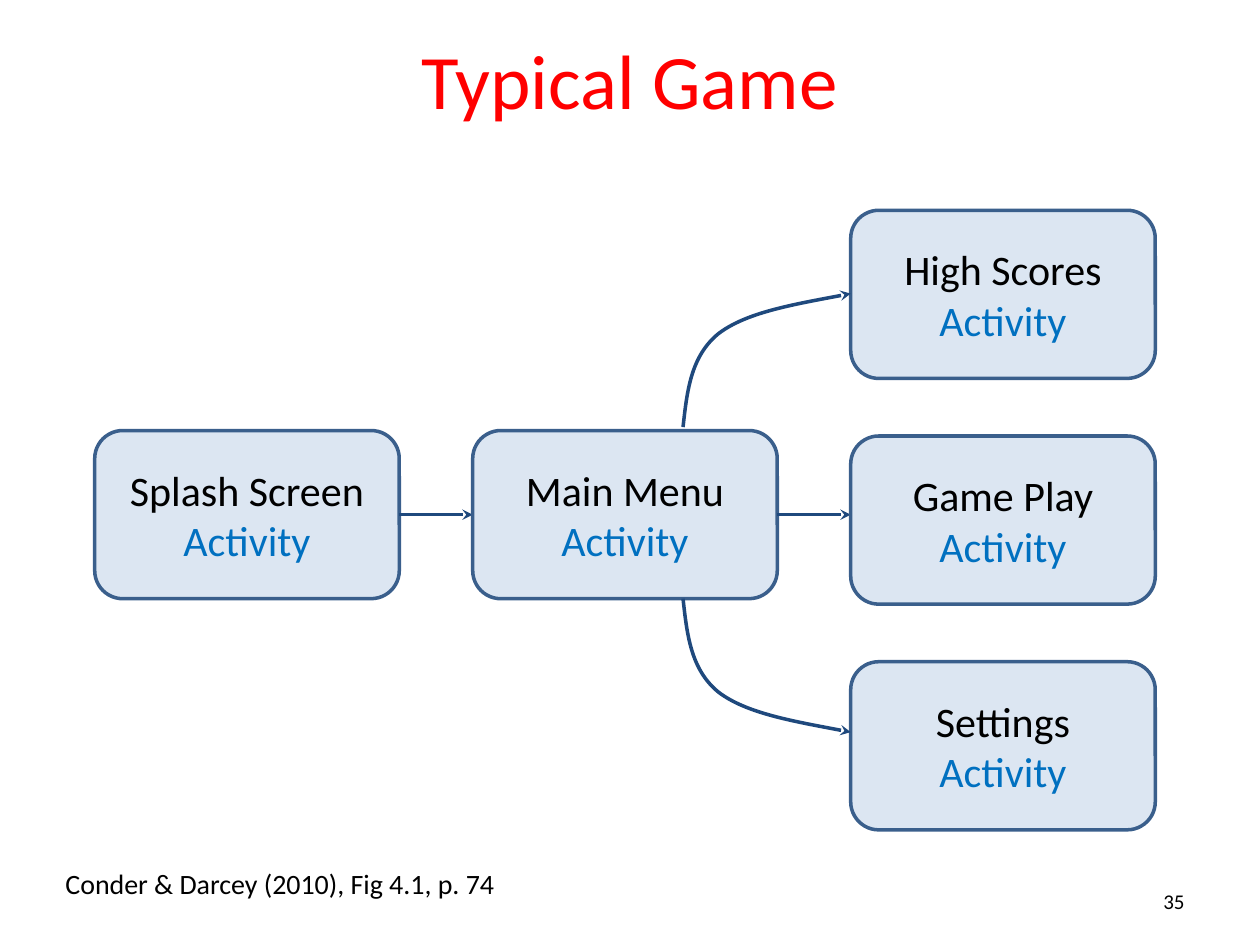
"""Build the slide that shows the screen flow of a typical game."""
from dataclasses import dataclass

import pptx
import pptx.dml.color
import pptx.enum.shapes
import pptx.enum.text
import pptx.oxml.ns
import pptx.util
from lxml import etree

Cm = pptx.util.Cm
ALIGN = pptx.enum.text.PP_ALIGN
ANCHOR = pptx.enum.text.MSO_ANCHOR

COLUMN_LEFT, COLUMN_STEP = 1.91, 7.62
BOX_W, BOX_H = 6.14, 3.39
MAIN_TOP, BRANCH_TOP, BRANCH_STEP = 8.68, 4.24, 4.55
KIND = "Activity"
MAIN_SCREENS = ["Splash Screen", "Main Menu"]
BRANCH_SCREENS = ["High Scores", "Game Play", "Settings"]
LABELS = [
    ("Typical Game", (1.27, 0, 22.86, 3.18), "title", "accent", ALIGN.CENTER, ANCHOR.MIDDLE),
    ("35", (18.21, 17.65, 5.92, 1.02), "number", "text", ALIGN.RIGHT, ANCHOR.MIDDLE),
    ("Conder & Darcey (2010), Fig 4.1, p. 74", (1.07, 17.35, 13.13, 0.94),
     "source", "text", ALIGN.LEFT, ANCHOR.TOP),
]
CURVE_X = 13.77
CURVE_STARTS = [(8.61, -1), (12.07, 1)]
CURVE_STEPS = [(0.08, 0.71), (0.15, 1.42), (0.71, 1.88), (1.27, 2.31), (2.34, 2.49), (3.38, 2.69)]


@dataclass(frozen=True)
class Theme:
    font: str = "Calibri"
    title: int = 44
    box: int = 24
    source: int = 16
    number: int = 12
    stroke: int = 2
    accent: str = "FF0000"
    text: str = "000000"
    kind: str = "0070C0"
    fill: str = "DCE6F2"
    border: str = "3A5F8C"
    arrow: str = "1F497D"


THEME = Theme()


def rgb(name):
    return pptx.dml.color.RGBColor.from_string(getattr(THEME, name))


def style_paragraph(p, text, size, color, align):
    p.text = text
    p.alignment = align
    p.font.name = THEME.font
    p.font.size = pptx.util.Pt(getattr(THEME, size))
    p.font.color.rgb = rgb(color)


def style_line(line, color):
    line.color.rgb = rgb(color)
    line.width = pptx.util.Pt(THEME.stroke)


def add_label(s, text, box, size, color, align, anchor):
    tf = s.shapes.add_textbox(*map(Cm, box)).text_frame
    tf.word_wrap = True
    tf.vertical_anchor = anchor
    style_paragraph(tf.paragraphs[0], text, size, color, align)


def add_screen(s, name, left, top):
    sp = s.shapes.add_shape(pptx.enum.shapes.MSO_SHAPE.ROUNDED_RECTANGLE,
                            Cm(left), Cm(top), Cm(BOX_W), Cm(BOX_H))
    sp.shadow.inherit = False
    sp.fill.solid()
    sp.fill.fore_color.rgb = rgb("fill")
    style_line(sp.line, "border")
    tf = sp.text_frame
    tf.word_wrap = True
    tf.vertical_anchor = ANCHOR.MIDDLE
    style_paragraph(tf.paragraphs[0], name, "box", "text", ALIGN.CENTER)
    style_paragraph(tf.add_paragraph(), KIND, "box", "kind", ALIGN.CENTER)


def style_arrow(sp):
    style_line(sp.line, "arrow")
    ln = sp.line._get_or_add_ln()
    etree.SubElement(ln, pptx.oxml.ns.qn("a:tailEnd"), type="stealth")


def add_straight_arrow(s, left, y):
    sp = s.shapes.add_connector(pptx.enum.shapes.MSO_CONNECTOR.STRAIGHT, Cm(left), Cm(y),
                                Cm(left + COLUMN_STEP - BOX_W), Cm(y))
    style_arrow(sp)
    etree.SubElement(sp._element.spPr, pptx.oxml.ns.qn("a:effectLst"))


def add_curved_arrow(s, top, sign):
    builder = s.shapes.build_freeform(Cm(CURVE_X), Cm(top))
    builder.add_line_segments([(Cm(CURVE_X + dx), Cm(top + sign * dy)) for dx, dy in CURVE_STEPS],
                              close=False)
    sp = builder.convert_to_shape()
    sp.shadow.inherit = False
    sp.fill.background()
    style_arrow(sp)
    segments = list(sp._element.iter(pptx.oxml.ns.qn("a:lnTo")))
    outline = segments[0].getparent()
    for i in range(0, len(segments), 3):
        curve = etree.SubElement(outline, pptx.oxml.ns.qn("a:cubicBezTo"))
        for segment in segments[i:i + 3]:
            curve.append(segment[0])
            outline.remove(segment)


def main():
    prs = pptx.Presentation()
    prs.slide_width, prs.slide_height = Cm(25.4), Cm(19.05)
    s = prs.slides.add_slide(prs.slide_layouts[6])
    for label in LABELS:
        add_label(s, *label)
    for i, name in enumerate(MAIN_SCREENS):
        left = COLUMN_LEFT + i * COLUMN_STEP
        add_screen(s, name, left, MAIN_TOP)
        add_straight_arrow(s, left + BOX_W, MAIN_TOP + BOX_H / 2)
    branch_left = COLUMN_LEFT + len(MAIN_SCREENS) * COLUMN_STEP
    for i, name in enumerate(BRANCH_SCREENS):
        add_screen(s, name, branch_left, BRANCH_TOP + i * BRANCH_STEP)
    for top, sign in CURVE_STARTS:
        add_curved_arrow(s, top, sign)
    prs.save("out.pptx")


if __name__ == "__main__":
    main()
